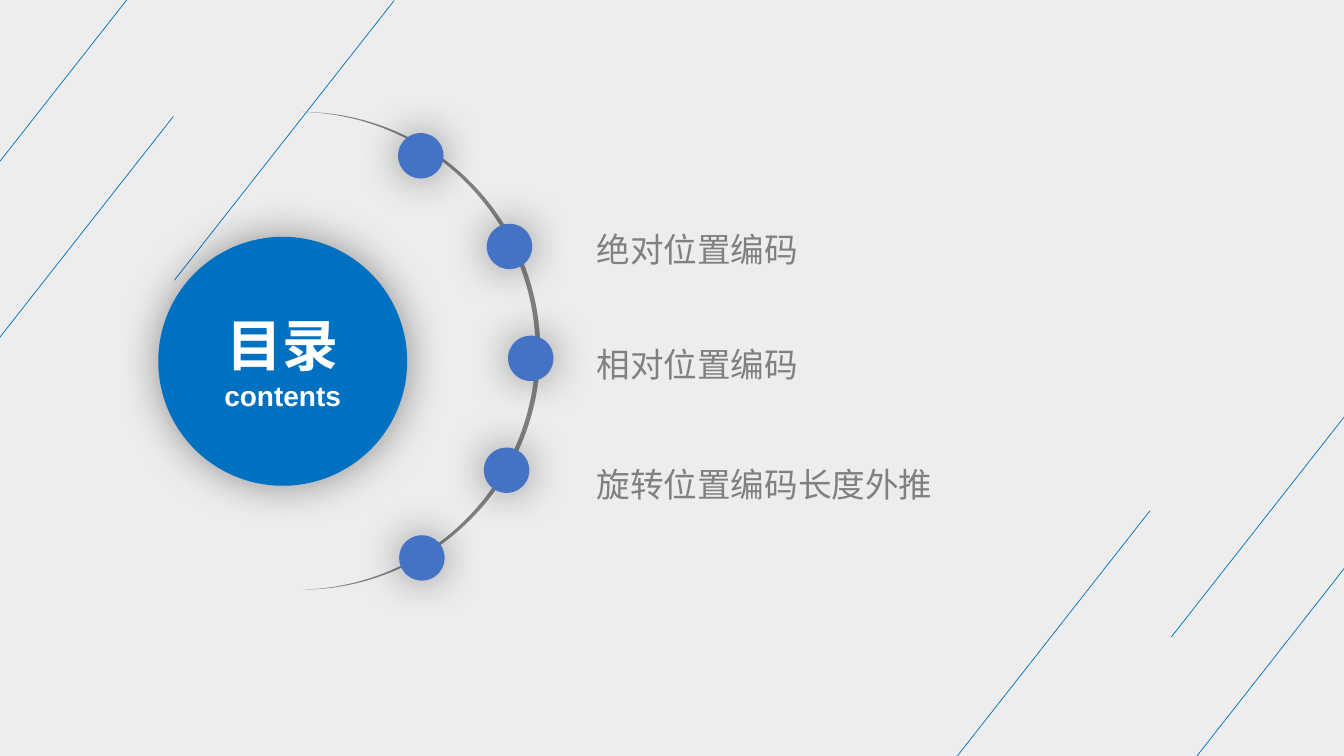
from lxml import etree
from pptx import Presentation
from pptx import util as u
from pptx.dml.color import RGBColor
from pptx.enum import shapes, text
from pptx.oxml import ns

WIDTH, HEIGHT = u.Inches(13.333), u.Inches(7.5)
BLUE, DOT_BLUE, GREY, PALE, WHITE = "0070C0", "4472C4", "808080", "D9D9D9", "FFFFFF"
STROKE_RUN, STROKE_RISE = 16.35, 37
STROKE_STARTS = [(69.23, 104.53), (87.15, 84.27), (-3.45, 52.4),
                 (12.98, 37.07), (85.58, 107.87), (0, 21.33)]
TOPICS = [("绝对位置编码", 26.93), ("相对位置编码", 42.13), ("旋转位置编码长度外推", 58)]
DOTS = [(29.62, 17.6), (36.22, 29.6), (37.8, 44.4), (36, 59.2), (29.7, 70.8)]


def color(value):
    """Turn a hex string into a colour."""
    return RGBColor.from_string(value)


def across(percent):
    """Give a horizontal length as a percentage of the slide width."""
    return u.Emu(round(WIDTH * percent / 100))


def down(percent):
    """Give a vertical length as a percentage of the slide height."""
    return u.Emu(round(HEIGHT * percent / 100))


def box(left, top, width, height):
    """Give a rectangle in percentages of the slide."""
    return across(left), down(top), across(width), down(height)


def add_child(parent, tag, **attributes):
    """Append a drawing element with its attributes."""
    return etree.SubElement(parent, ns.qn(tag), attributes)


def add_filled(slide, kind, area, fill):
    """Add a borderless shape without a shadow."""
    shape = slide.shapes.add_shape(kind, *box(*area))
    shape.shadow.inherit = False
    shape.fill.solid()
    shape.fill.fore_color.rgb = color(fill)
    shape.line.fill.background()
    return shape


def add_disc(slide, area, fill):
    """Add a circle with a soft shadow around it."""
    disc = add_filled(slide, shapes.MSO_SHAPE.OVAL, area, fill)
    effects = disc._element.spPr.find(ns.qn("a:effectLst"))
    shadow = add_child(effects, "a:outerShdw", blurRad=str(u.Pt(30)), dist="0",
                       dir="0", algn="ctr", rotWithShape="0")
    add_child(add_child(shadow, "a:srgbClr", val="000000"), "a:alpha", val="40000")
    return disc


def add_backdrop(slide):
    """Cover the slide with a translucent grey."""
    backdrop = add_filled(slide, shapes.MSO_SHAPE.RECTANGLE, (0, 0, 100, 100), PALE)
    fill_color = backdrop._element.spPr.find(".//" + ns.qn("a:srgbClr"))
    add_child(fill_color, "a:alpha", val="46000")


def add_stroke(slide, left, bottom):
    """Add a thin diagonal line rising from its lower left end."""
    stroke = slide.shapes.add_connector(
        shapes.MSO_CONNECTOR.STRAIGHT, across(left), down(bottom),
        across(left + STROKE_RUN), down(bottom - STROKE_RISE))
    stroke.line.color.rgb = color(BLUE)
    stroke.line.width = u.Pt(0.5)
    add_child(stroke._element.spPr, "a:effectLst")


def add_run(paragraph, words, size, fill, bold=False):
    """Add a run of Arial text."""
    run = paragraph.add_run()
    run.text = words
    run.font.name = "Arial"
    run.font.size = u.Pt(size)
    run.font.bold = bold
    run.font.color.rgb = color(fill)


def add_topic(slide, words, top):
    """Add one entry of the contents list."""
    frame = slide.shapes.add_textbox(*box(43.65, top, 36, 8.4)).text_frame
    frame.word_wrap = True
    frame.auto_size = text.MSO_AUTO_SIZE.SHAPE_TO_FIT_TEXT
    paragraph = frame.paragraphs[0]
    paragraph.line_spacing = 1.5
    add_run(paragraph, words, 24, GREY)


def add_title(slide):
    """Add the large titled circle."""
    frame = add_disc(slide, (11.78, 31.33, 18.52, 32.93), BLUE).text_frame
    frame.vertical_anchor = text.MSO_ANCHOR.MIDDLE
    title, subtitle = frame.paragraphs[0], frame.add_paragraph()
    for paragraph, words, size in ((title, "目录", 40), (subtitle, "contents", 20)):
        paragraph.alignment = text.PP_ALIGN.CENTER
        add_run(paragraph, words, size, WHITE, bold=True)


def add_arc(slide):
    """Add the thin crescent that carries the dots."""
    arc = add_filled(slide, shapes.MSO_SHAPE.MOON, (22.42, 14.8, 17.78, 63.2), GREY)
    arc.adjustments[0] = 0.02
    arc.rotation = 180


def main():
    """Build the contents slide and save it."""
    presentation = Presentation()
    presentation.slide_width, presentation.slide_height = WIDTH, HEIGHT
    slide = presentation.slides.add_slide(presentation.slide_layouts[6])
    add_backdrop(slide)
    for left, bottom in STROKE_STARTS:
        add_stroke(slide, left, bottom)
    for words, top in TOPICS:
        add_topic(slide, words, top)
    add_title(slide)
    add_arc(slide)
    for left, top in DOTS:
        add_disc(slide, (left, top, 3.38, 6), DOT_BLUE)
    presentation.save("out.pptx")


if __name__ == "__main__":
    main()
